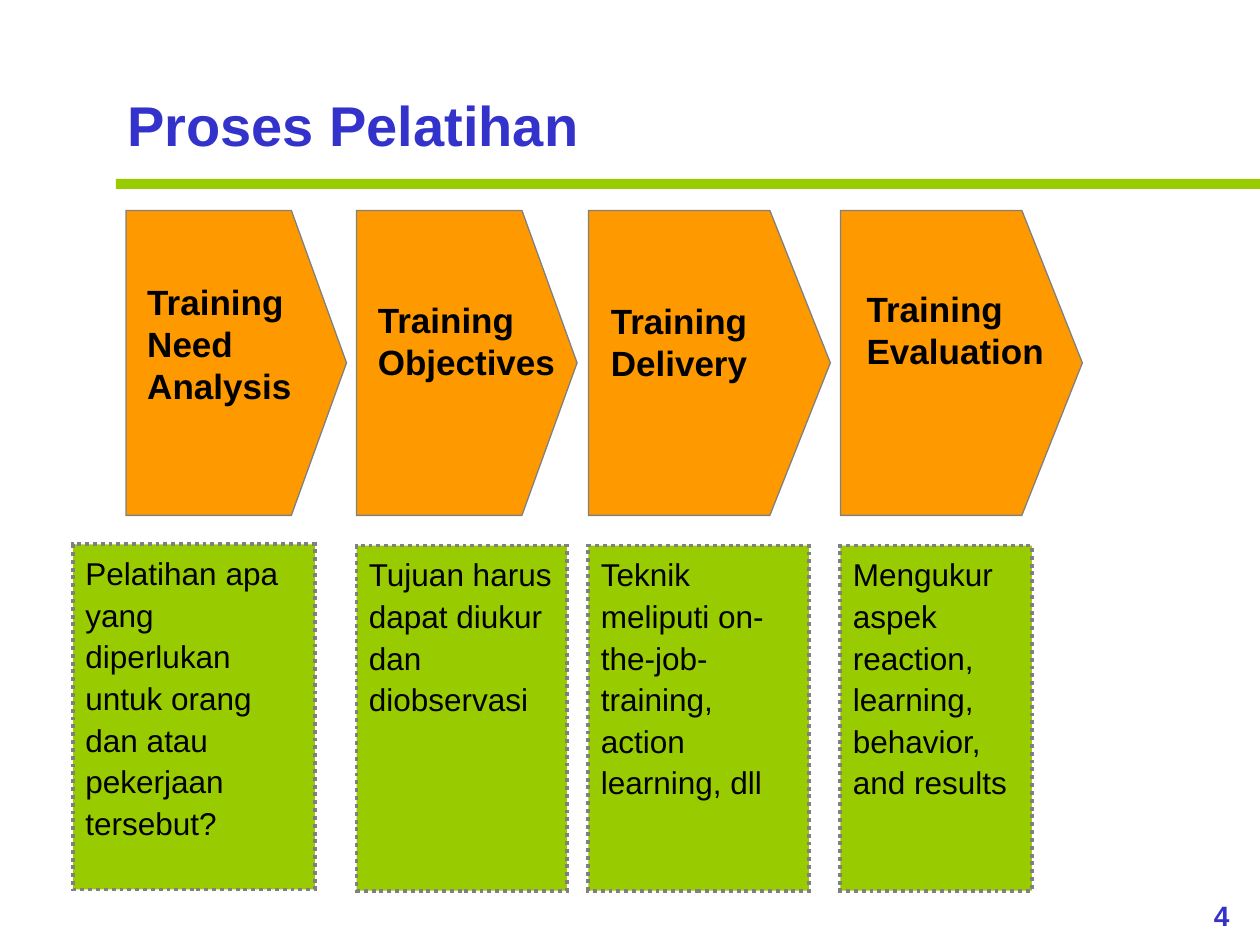
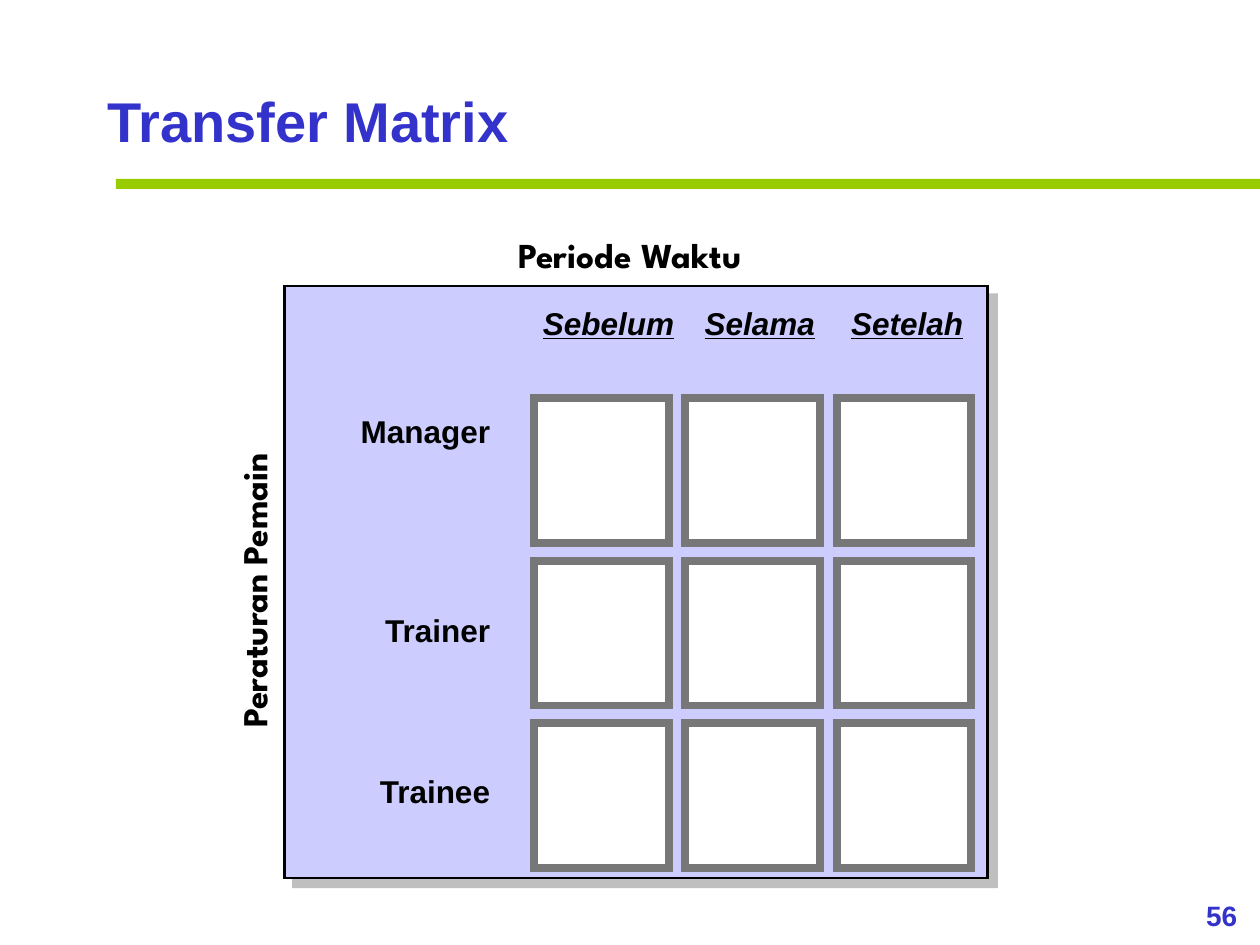
from lxml.etree import SubElement
from pptx import Presentation
from pptx.dml.color import RGBColor
from pptx.enum.dml import MSO_LINE_DASH_STYLE as Dash
from pptx.enum.shapes import MSO_SHAPE as Preset
from pptx.enum.text import MSO_ANCHOR as Anchor, PP_ALIGN as Align
from pptx.oxml.ns import qn
from pptx.util import Inches, Pt

BLUE, GREEN, ORANGE, LAVENDER = "3333CC", "99CC00", "FF9900", "CCCCFF"
BLACK, WHITE, GRAY, CELL_GRAY = "000000", "FFFFFF", "808080", "777777"
BODY_FONT, AXIS_FONT = "Arial", "League Spartan"

# Arrow left and width, label with its box, description with its box
STEPS = [
    {"arrow": (1, 1.75), "label": "Training Need Analysis",
     "label_box": (1.07, 2.18, 1.85, 1.1),
     "note": "Pelatihan apa yang diperlukan untuk orang dan atau pekerjaan tersebut?",
     "note_box": (0.58, 4.32, 1.92, 2.74)},
    {"arrow": (2.83, 1.75), "label": "Training Objectives",
     "label_box": (2.9, 2.32, 1.68, 0.77),
     "note": "Tujuan harus dapat diukur dan diobservasi",
     "note_box": (2.83, 4.33, 1.67, 2.74)},
    {"arrow": (4.67, 1.92), "label": "Training\nDelivery",
     "label_box": (4.75, 2.33, 1.37, 0.77),
     "note": "Teknik meliputi on-the-job-training, action learning, dll",
     "note_box": (4.67, 4.33, 1.75, 2.74)},
    {"arrow": (6.67, 1.92), "label": "Training Evaluation",
     "label_box": (6.78, 2.23, 1.8, 0.77),
     "note": "Mengukur aspek reaction, learning, behavior, and results",
     "note_box": (6.67, 4.33, 1.52, 2.74)},
]
ARROW_TOP, ARROW_HEIGHT, ARROW_SHOULDER = 1.67, 2.42, 0.75

# Text, horizontal centre
PERIODS = [("Sebelum", 4.83), ("Selama", 6.03), ("Setelah", 7.2)]
PERIOD_WIDTH = 1.2
# Text, top
PLAYERS = [("Manager", 3.27), ("Trainer", 4.85), ("Trainee", 6.13)]
PLAYER_LEFT, PLAYER_WIDTH = 2.69, 1.2
CELL_LEFT, CELL_TOP, CELL_WIDTH, CELL_HEIGHT = 4.24, 3.16, 1.07, 1.15
COLUMN_STEP, ROW_STEP = 1.2, 1.29


def color(hex_text):
    return RGBColor.from_string(hex_text)


def inches(box):
    return [Inches(value) for value in box]


def write(shape, text, size, ink=BLACK, font=BODY_FONT, bold=False, italic=False,
          underline=False, align=Align.LEFT, spacing=None, inset=True):
    frame = shape.text_frame
    frame.text = text
    frame.word_wrap = True
    frame.vertical_anchor = Anchor.TOP
    frame.margin_left = frame.margin_right = Inches(0.1 if inset else 0)
    frame.margin_top = frame.margin_bottom = Inches(0.05 if inset else 0)
    for paragraph in frame.paragraphs:
        paragraph.alignment = align
        if spacing:
            paragraph.line_spacing = spacing
        for run in paragraph.runs:
            run.font.name, run.font.size = font, Pt(size)
            run.font.bold, run.font.italic = bold, italic
            run.font.underline = underline
            run.font.color.rgb = color(ink)


def add_text(slide, box, text, size, **style):
    shape = slide.shapes.add_textbox(*inches(box))
    write(shape, text, size, **style)
    return shape


def paint(shape, fill, line=None, width=0.75):
    """Fill the shape and give it a square-cornered outline, or none."""
    shape.shadow.inherit = False
    shape.fill.solid()
    shape.fill.fore_color.rgb = color(fill)
    if line:
        shape.line.color.rgb = color(line)
        shape.line.width = Pt(width)
        SubElement(shape._element.spPr.find(qn("a:ln")), qn("a:miter"), lim="800000")
    else:
        shape.line.fill.background()


def add_box(shapes, box, *paint_values):
    shape = shapes.add_shape(Preset.RECTANGLE, *inches(box))
    paint(shape, *paint_values)
    return shape


def add_drop_shadow(shape):
    effects = shape._element.spPr.find(qn("a:effectLst"))
    shadow = SubElement(effects, qn("a:outerShdw"), blurRad="0", dist=str(Pt(7.1)),
                        dir="2700000", algn="ctr", rotWithShape="0")
    tint = SubElement(shadow, qn("a:srgbClr"), val=GRAY)
    SubElement(tint, qn("a:alpha"), val="50000")


def add_arrow(slide, left, width):
    shoulder, right = left + width * ARROW_SHOULDER, left + width
    middle, bottom = ARROW_TOP + ARROW_HEIGHT / 2, ARROW_TOP + ARROW_HEIGHT
    builder = slide.shapes.build_freeform(Inches(left), Inches(ARROW_TOP))
    points = [(shoulder, ARROW_TOP), (right, middle), (shoulder, bottom), (left, bottom)]
    builder.add_line_segments([inches(point) for point in points], close=True)
    paint(builder.convert_to_shape(), ORANGE, GRAY)


def add_base_slide(presentation, title, title_box, number, spacing=None):
    """Add a slide with the shared title style, green band and page number."""
    slide = presentation.slides.add_slide(presentation.slide_layouts[5])
    heading = slide.shapes.title
    heading.left, heading.top, heading.width, heading.height = inches(title_box)
    write(heading, title, 32, ink=BLUE, bold=True, spacing=spacing)
    add_box(slide.shapes, (0.92, 1.42, 9.08, 0.08), GREEN)
    add_text(slide, (9.39, 7.08, 0.61, 0.37), number, 16, ink=BLUE, bold=True,
             align=Align.CENTER)
    return slide


def build_process(presentation):
    slide = add_base_slide(presentation, "Proses Pelatihan", (0.91, 0.67, 3.9, 0.64), "4")
    for step in STEPS:
        add_arrow(slide, *step["arrow"])
        note = add_box(slide.shapes, step["note_box"], GREEN, GRAY, 2.25)
        note.line.dash_style = Dash.ROUND_DOT
        write(note, step["note"], 18, spacing=1.1)
        add_text(slide, step["label_box"], step["label"], 20, bold=True)


def build_matrix(presentation):
    slide = add_base_slide(presentation, "Transfer Matrix", (0.75, 0.58, 8.82, 0.67),
                           "56", spacing=1.1)
    panel = add_box(slide.shapes, (2.26, 2.27, 5.58, 4.7), LAVENDER, BLACK, 1.5)
    add_drop_shadow(panel)
    label_style = {"bold": True, "inset": False}
    for column, (period, center) in enumerate(PERIODS):
        add_text(slide, (center - PERIOD_WIDTH / 2, 2.41, PERIOD_WIDTH, 0.3), period, 18,
                 italic=True, underline=True, align=Align.CENTER, **label_style)
        cells = slide.shapes.add_group_shape().shapes
        for row in range(len(PLAYERS)):
            add_box(cells, (CELL_LEFT + column * COLUMN_STEP, CELL_TOP + row * ROW_STEP,
                            CELL_WIDTH, CELL_HEIGHT), WHITE, CELL_GRAY, 4.5)
    for player, top in PLAYERS:
        add_text(slide, (PLAYER_LEFT, top, PLAYER_WIDTH, 0.3), player, 18,
                 align=Align.RIGHT, **label_style)
    axis_style = {"font": AXIS_FONT, "align": Align.CENTER, **label_style}
    add_text(slide, (2.22, 1.85, 5.56, 0.33), "Periode Waktu", 20, **axis_style)
    side = add_text(slide, (-0.22, 4.52, 4.46, 0.33), "Peraturan Pemain", 20, **axis_style)
    side.rotation = 270


def main():
    presentation = Presentation()
    presentation.slide_width, presentation.slide_height = Inches(10), Inches(7.5)
    build_process(presentation)
    build_matrix(presentation)
    presentation.save("out.pptx")


if __name__ == "__main__":
    main()
